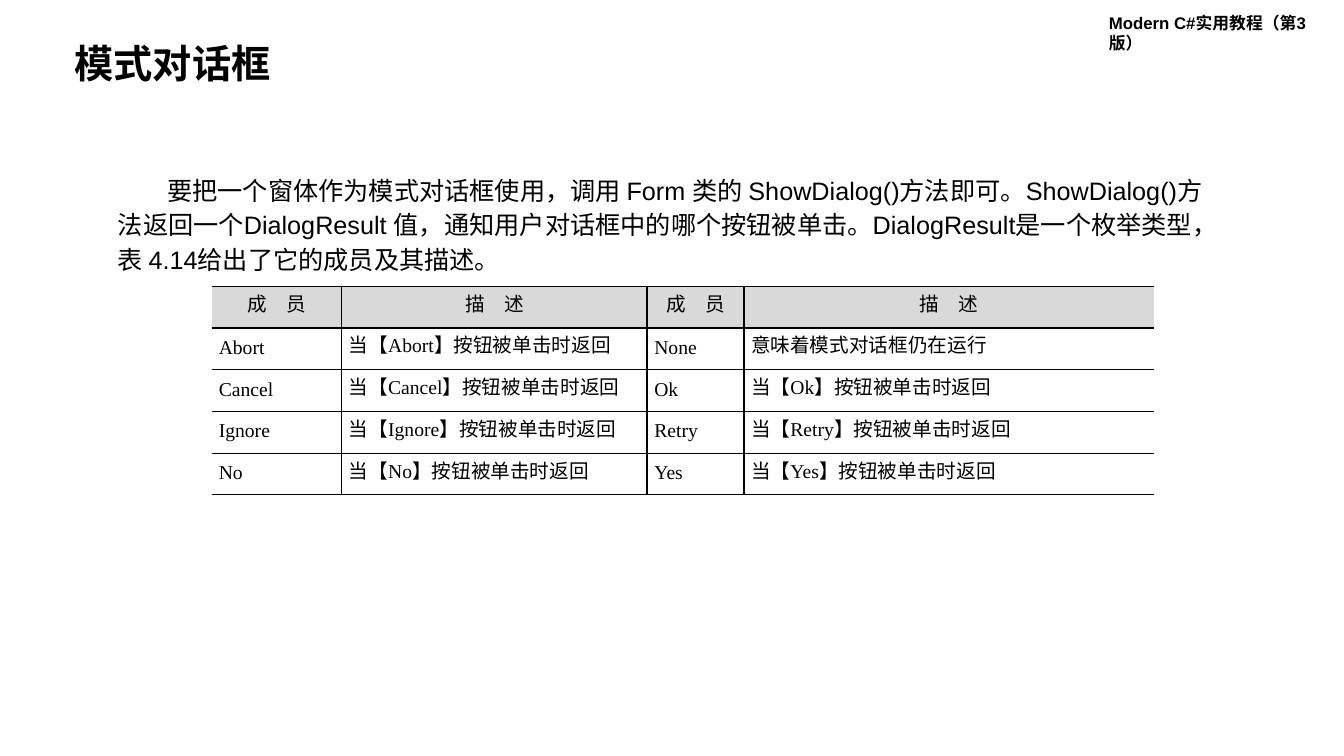
from dataclasses import dataclass

import lxml.etree
import pptx
import pptx.dml.color
import pptx.enum.text
import pptx.oxml.ns
import pptx.table
import pptx.text.text
import pptx.util

PX = 9144  # EMU in one px, 100 px to the inch
COLORS = {"text": "000000", "line": "000000", "header": "D9D9D9"}
ALIGN = pptx.enum.text.PP_ALIGN
ANCHOR = pptx.enum.text.MSO_ANCHOR
AUTO_SIZE = pptx.enum.text.MSO_AUTO_SIZE


@dataclass(frozen=True)
class Box:
    left: int
    top: int
    width: int
    height: int

    def emu(self) -> list[int]:
        return [side * PX for side in (self.left, self.top, self.width, self.height)]


@dataclass(frozen=True)
class Member:
    name: str
    description: str = ""

    def cells(self) -> list[str]:
        return [self.name, self.description or f"当【{self.name}】按钮被单击时返回"]


TITLE_BOX = Box(64, 39, 634, 52)
BOOK_BOX = Box(1090, 8, 244, 30)
INTRO_BOX = Box(107, 164, 1105, 101)
TABLE_BOX = Box(210, 284, 935, 207)
COLUMN_WIDTHS = [129, 303, 96, 407]
COLUMN_LINES = [0, 1, 1.5, 1, 0]  # points, from the left edge to the right edge
HEADER = ["成　员", "描　述"] * 2
MEMBER_PAIRS = [
    (Member("Abort"), Member("None", "意味着模式对话框仍在运行")),
    (Member("Cancel"), Member("Ok")),
    (Member("Ignore"), Member("Retry")),
    (Member("No"), Member("Yes")),
]
INTRO = (
    "要把一个窗体作为模式对话框使用，调用 Form 类的 ShowDialog()方法即可。"
    "ShowDialog()方法返回一个DialogResult 值，通知用户对话框中的哪个按钮被单击。"
    "DialogResult是一个枚举类型，表 4.14给出了它的成员及其描述。"
)


def write_text(
    frame: pptx.text.text.TextFrame,
    text: str,
    *,
    size: int,
    font: str = "Arial",
    bold: bool = False,
    align: ALIGN = ALIGN.LEFT,
    line_spacing: float | pptx.util.Length | None = None,
    indent: int = 0,
) -> None:
    frame.word_wrap = True
    paragraph = frame.paragraphs[0]
    paragraph.text = text
    paragraph.alignment = align
    paragraph.line_spacing = line_spacing
    if indent:
        paragraph._p.get_or_add_pPr().set("indent", str(indent * PX))
    run_font = paragraph.runs[0].font
    run_font.name = font
    run_font.size = pptx.util.Pt(size)
    run_font.bold = bold
    run_font.color.rgb = pptx.dml.color.RGBColor.from_string(COLORS["text"])


def add_border(cell: pptx.table._Cell, side: str, points: float) -> None:
    """Draw one side (L, R, T or B); zero points hides it."""
    qn = pptx.oxml.ns.qn
    properties = cell._tc.get_or_add_tcPr()
    line = lxml.etree.SubElement(properties, qn(f"a:ln{side}"), w=str(pptx.util.Pt(points)))
    if points:
        fill = lxml.etree.SubElement(line, qn("a:solidFill"))
        lxml.etree.SubElement(fill, qn("a:srgbClr"), val=COLORS["line"])
    else:
        lxml.etree.SubElement(line, qn("a:noFill"))


def format_cell(cell: pptx.table._Cell, text: str, column: int, is_header: bool) -> None:
    cell.margin_left = cell.margin_right = 7 * PX
    cell.margin_top = cell.margin_bottom = 0
    cell.vertical_anchor = ANCHOR.MIDDLE
    write_text(
        cell.text_frame,
        text,
        size=14,
        font="Times New Roman",
        align=ALIGN.CENTER if is_header else ALIGN.JUSTIFY,
        line_spacing=pptx.util.Pt(14),
    )
    widths = [COLUMN_LINES[column], COLUMN_LINES[column + 1], 1, 1]
    for side, points in zip("LRTB", widths):
        add_border(cell, side, points)
    if is_header:
        cell.fill.solid()
        cell.fill.fore_color.rgb = pptx.dml.color.RGBColor.from_string(COLORS["header"])
    else:
        cell.fill.background()


def add_member_table(slide: pptx.slide.Slide) -> None:
    rows = [HEADER] + [left.cells() + right.cells() for left, right in MEMBER_PAIRS]
    table = slide.shapes.add_table(len(rows), len(HEADER), *TABLE_BOX.emu()).table
    table.first_row = table.horz_banding = False
    for column, width in zip(table.columns, COLUMN_WIDTHS):
        column.width = width * PX
    for row_index, texts in enumerate(rows):
        for column_index, text in enumerate(texts):
            cell = table.cell(row_index, column_index)
            format_cell(cell, text, column_index, row_index == 0)


def main() -> None:
    presentation = pptx.Presentation()
    presentation.slide_width = 1333 * PX
    presentation.slide_height = 750 * PX
    slide = presentation.slides.add_slide(presentation.slide_layouts[5])

    title = slide.shapes.title
    title.left, title.top, title.width, title.height = TITLE_BOX.emu()
    title.text_frame.auto_size = AUTO_SIZE.NONE
    title.text_frame.vertical_anchor = ANCHOR.MIDDLE
    write_text(title.text_frame, "模式对话框", size=28, bold=True, line_spacing=0.9)

    book = slide.shapes.add_textbox(*BOOK_BOX.emu())
    write_text(book.text_frame, "Modern C#实用教程（第3版）", size=12, bold=True)

    intro = slide.shapes.add_textbox(*INTRO_BOX.emu())
    write_text(intro.text_frame, INTRO, size=18, line_spacing=1.15, indent=49)

    add_member_table(slide)
    presentation.save("out.pptx")


if __name__ == "__main__":
    main()
